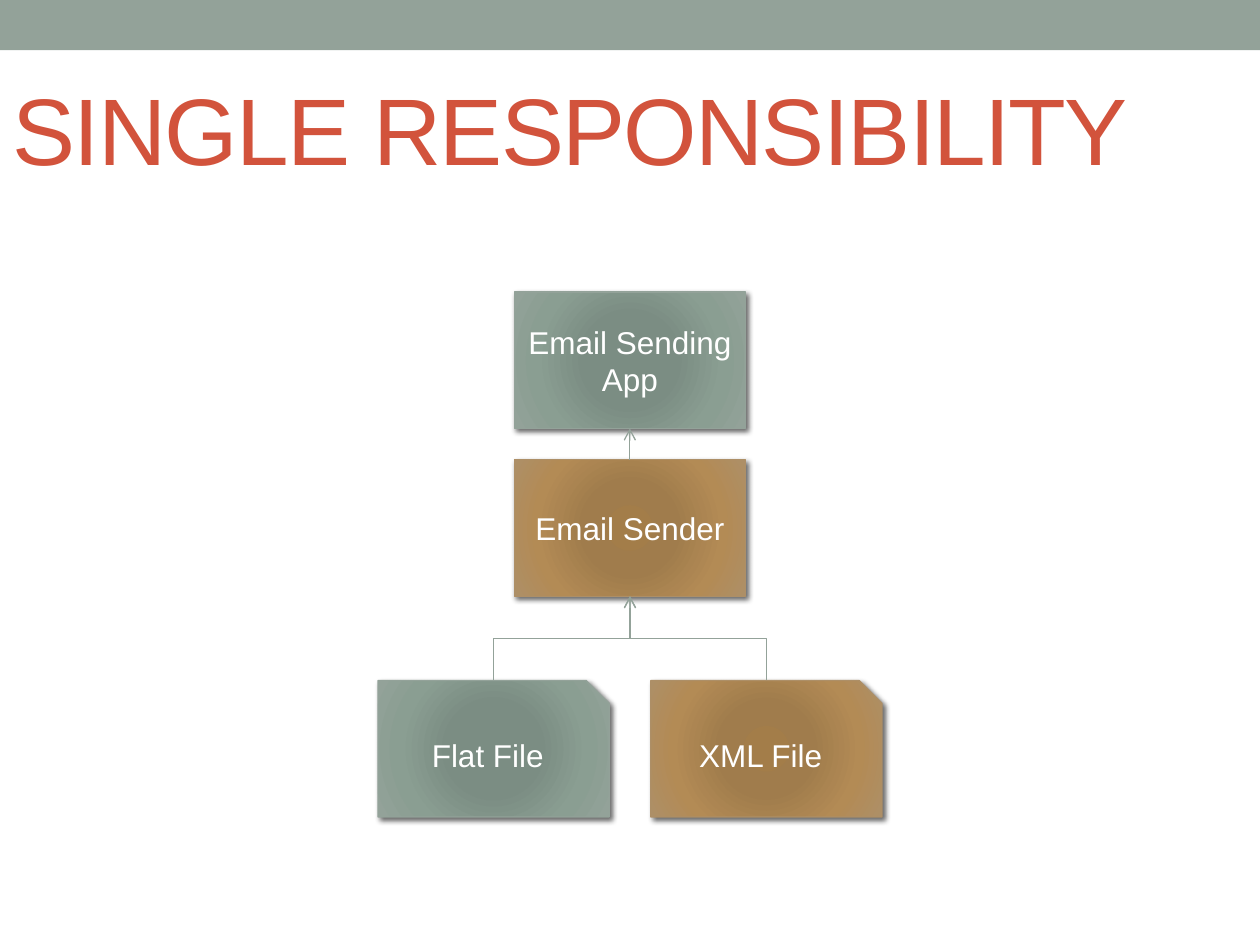
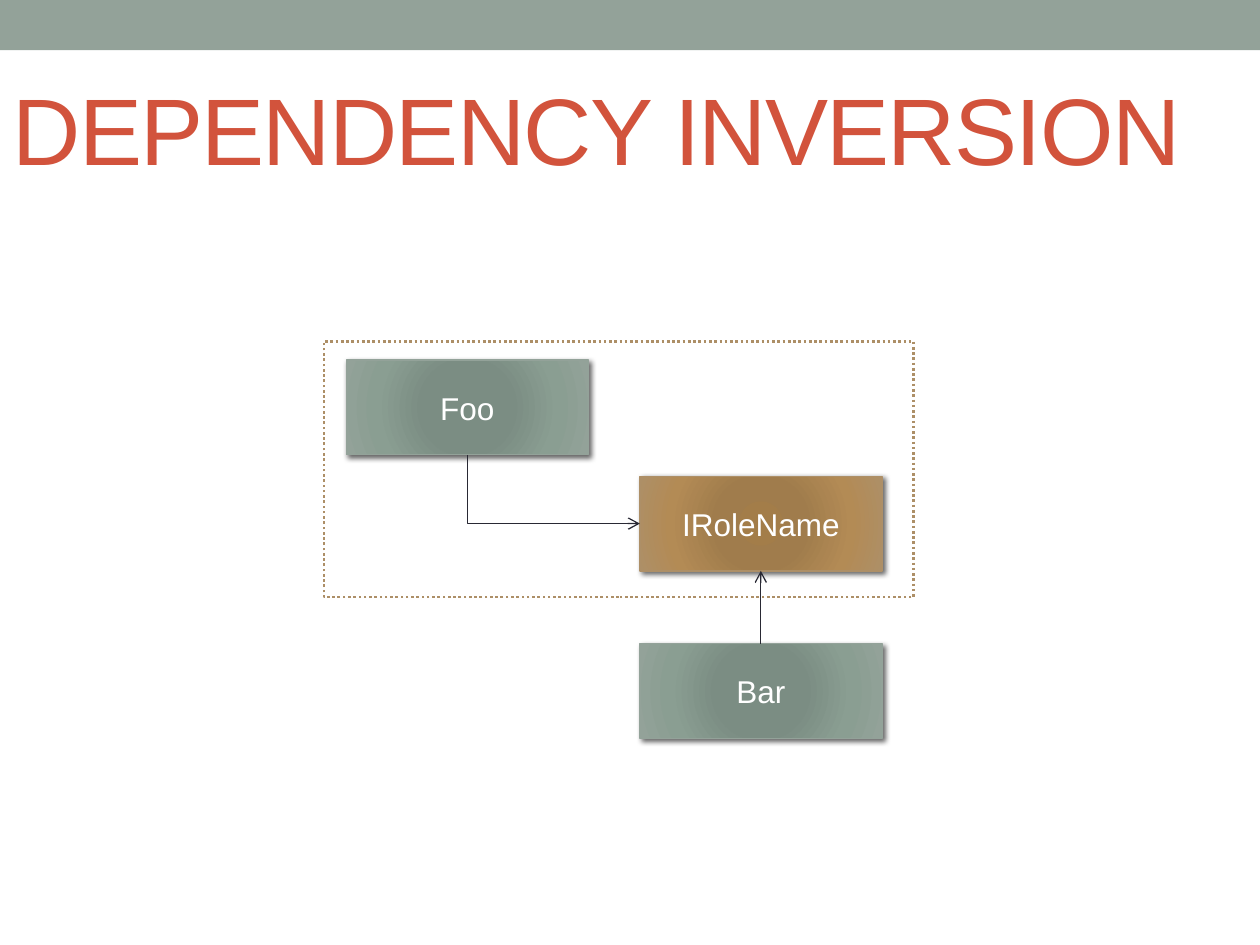
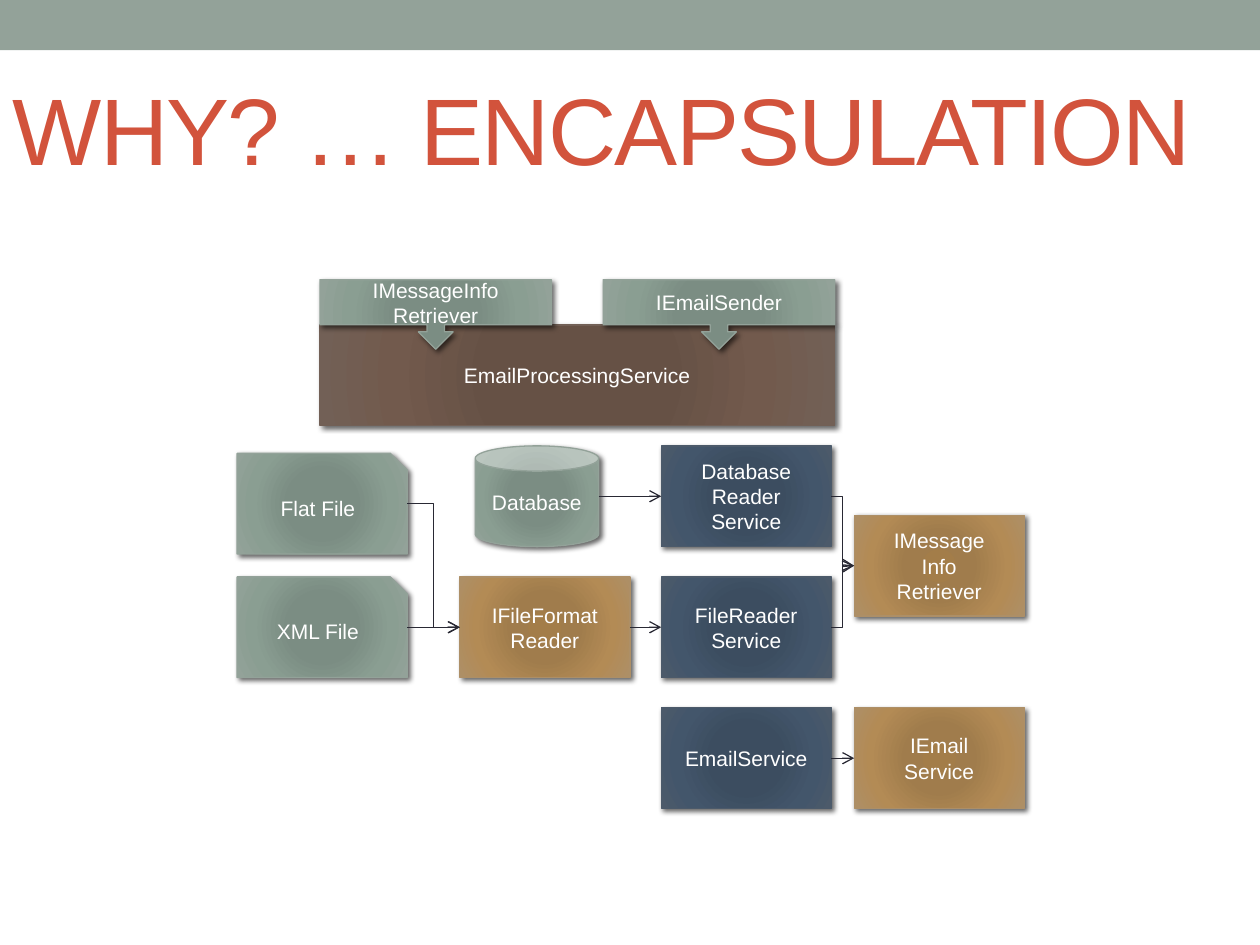
from dataclasses import dataclass

from lxml import etree
from pptx import Presentation
from pptx.dml.color import RGBColor
from pptx.enum.dml import MSO_LINE
from pptx.enum.shapes import MSO_CONNECTOR, MSO_SHAPE
from pptx.enum.text import MSO_ANCHOR, MSO_AUTO_SIZE, PP_ALIGN
from pptx.oxml import parse_xml
from pptx.oxml.ns import nsdecls, qn
from pptx.util import Cm, Pt

RECT = MSO_SHAPE.RECTANGLE
FILE = MSO_SHAPE.SNIP_1_RECTANGLE
CAN = MSO_SHAPE.CAN
CALLOUT = MSO_SHAPE.DOWN_ARROW_CALLOUT
ELBOW = MSO_CONNECTOR.ELBOW
DOTTED = MSO_LINE.ROUND_DOT
LEFT, CENTER = PP_ALIGN.LEFT, PP_ALIGN.CENTER
TOP, MIDDLE = MSO_ANCHOR.TOP, MSO_ANCHOR.MIDDLE
NO_AUTOFIT = MSO_AUTO_SIZE.NONE
TITLE_ONLY = 5


@dataclass(frozen=True)
class Theme:
    font: str = "Arial"
    title: str = "D2533C"
    white: str = "FFFFFF"
    ink: str = "292934"
    # Gradient colours from centre to edge; the edge also colours the outline.
    sage: tuple = ("7B8E82", "7B8D83", "8A9E92", "93A299")
    tan: tuple = ("A37D49", "A07C4C", "B38B55", "AD8F67")
    brown: tuple = ("685044", "665145", "725A4D", "726056")
    navy: tuple = ("3B4D61", "3C4D60", "43566B", "4C5A6A")
    stops: tuple = (0, 34, 70, 100)
    title_size: int = 54
    label_size: int = 18
    small_size: int = 12
    line_width: float = 0.75


THEME = Theme()


def rgb(value):
    return RGBColor.from_string(value)


def write_text(frame, text, *, size, color, align=LEFT, anchor=MIDDLE, tracking=0):
    """Fill a text frame; each line of text becomes a paragraph."""
    frame.text = text
    frame.word_wrap = True
    frame.vertical_anchor = anchor
    for paragraph in frame.paragraphs:
        paragraph.alignment = align
        for run in paragraph.runs:
            run.font.name = THEME.font
            run.font.size = Pt(size)
            run.font.color.rgb = rgb(color)
            if tracking:
                run._r.get_or_add_rPr().set("spc", str(tracking * 100))


def add_plain(slide, place, fill, line=None, width=THEME.line_width):
    """Add a flat rectangle at place (left, top, width, height in cm)."""
    shape = slide.shapes.add_shape(RECT, *map(Cm, place))
    shape.shadow.inherit = False
    shape.fill.solid()
    shape.fill.fore_color.rgb = rgb(fill)
    if line:
        shape.line.color.rgb = rgb(line)
        shape.line.width = Pt(width)
    else:
        shape.line.fill.background()
    return shape


def apply_radial_fill(shape, colors):
    stops = "".join(
        f'<a:gs pos="{position * 1000}"><a:srgbClr val="{color}"/></a:gs>'
        for position, color in zip(THEME.stops, colors))
    gradient = parse_xml(
        f'<a:gradFill {nsdecls("a")} rotWithShape="1"><a:gsLst>{stops}</a:gsLst>'
        '<a:path path="circle"><a:fillToRect l="100000" t="100000" r="100000" '
        'b="100000"/></a:path></a:gradFill>')
    shape.fill.background()
    properties = shape._element.spPr
    properties.replace(properties.find(qn("a:noFill")), gradient)


def apply_shadow(shape):
    shape.shadow.inherit = False
    shape._element.spPr.find(qn("a:effectLst")).append(parse_xml(
        f'<a:outerShdw {nsdecls("a")} blurRad="{Pt(3)}" dist="{Pt(2)}" '
        'dir="2700000" algn="tl" rotWithShape="0"><a:srgbClr val="000000">'
        '<a:alpha val="60000"/></a:srgbClr></a:outerShdw>'))


def add_node(slide, text, place, colors, kind=RECT, size=THEME.label_size):
    """Add a labelled, shaded diagram node at place (in cm)."""
    node = slide.shapes.add_shape(kind, *map(Cm, place))
    apply_radial_fill(node, colors)
    node.line.color.rgb = rgb(colors[-1])
    node.line.width = Pt(THEME.line_width)
    apply_shadow(node)
    write_text(node.text_frame, text, size=size, color=THEME.white, align=CENTER)
    return node


def edge_point(node, side):
    x = {"left": 0, "right": node.width}.get(side, node.width // 2)
    y = {"top": 0, "bottom": node.height}.get(side, node.height // 2)
    return node.left + x, node.top + y


def stand_upright(arrow, start, end):
    """Turn an elbow so that it leaves its start vertically."""
    (x1, y1), (x2, y2) = start, end
    rising, rightward = y2 < y1, x2 >= x1
    quarter = rising and rightward
    length, spread = abs(y2 - y1), abs(x2 - x1)
    arrow.left = (x1 + x2 - length) // 2
    arrow.top = (y1 + y2 - spread) // 2
    arrow.width, arrow.height = length, spread
    frame = arrow._element.spPr.find(qn("a:xfrm"))
    frame.set("rot", str((90 if quarter else 270) * 60000))
    frame.set("flipH", str(int(rising == quarter)))
    frame.set("flipV", str(int(rightward == quarter)))


def connect(slide, source, source_side, target, target_side, color=THEME.ink):
    """Draw an elbow arrow between the middles of two node sides."""
    start, end = edge_point(source, source_side), edge_point(target, target_side)
    arrow = slide.shapes.add_connector(ELBOW, *start, *end)
    properties = arrow._element.spPr
    vertical = ("top", "bottom")
    if source_side in vertical:
        stand_upright(arrow, start, end)
        if target_side not in vertical:
            properties.find(qn("a:prstGeom")).set("prst", "bentConnector2")
    arrow.line.color.rgb = rgb(color)
    arrow.line.width = Pt(THEME.line_width)
    etree.SubElement(properties.find(qn("a:ln")), qn("a:tailEnd"), type="arrow")
    etree.SubElement(properties, qn("a:effectLst"))


def add_titled_slide(prs, title):
    slide = prs.slides.add_slide(prs.slide_layouts[TITLE_ONLY])
    write_text(slide.shapes.title.text_frame, title, size=THEME.title_size,
               color=THEME.title, anchor=TOP, tracking=-1)
    return slide


def place_layout_title(layout):
    title = layout.placeholders[0]
    title.left, title.top, title.width, title.height = map(Cm, (0, 1.14, 25.4, 3.18))
    title.text_frame.margin_top = Cm(0.3)
    title.text_frame.auto_size = NO_AUTOFIT


def add_layout_band(layout, slide):
    """Build the top band on a slide, then move it behind all else on the layout."""
    band = add_plain(slide, (0, 0, 25.4, 1.01), THEME.sage[-1])
    band._element.nvSpPr.cNvPr.set("id", "20")
    layout.shapes._spTree.insert(2, band._element)


def build_responsibility(prs):
    slide = add_titled_slide(prs, "SINGLE RESPONSIBILITY")
    width, height = 4.66, 2.75
    middle = 12.7 - width / 2
    offset = 2.75
    sender_top, file_top = 9.27, 13.72

    sender = add_node(slide, "Email Sender", (middle, sender_top, width, height), THEME.tan)
    flat_file = add_node(slide, "Flat File", (middle - offset, file_top, width, height),
                         THEME.sage, FILE)
    xml_file = add_node(slide, "XML File", (middle + offset, file_top, width, height),
                        THEME.tan, FILE)
    app = add_node(slide, "Email Sending App", (middle, 5.89, width, height), THEME.sage)
    for source, target in ((flat_file, sender), (xml_file, sender), (sender, app)):
        connect(slide, source, "top", target, "bottom", THEME.sage[-1])
    return slide


def build_inversion(prs):
    slide = add_titled_slide(prs, "DEPENDENCY INVERSION")
    size = (4.88, 1.91)
    boundary = add_plain(slide, (6.53, 6.88, 11.89, 5.16), THEME.white, THEME.tan[-1], 1.5)
    boundary.line.dash_style = DOTTED

    role = add_node(slide, "IRoleName", (12.9, 9.6, *size), THEME.tan)
    foo = add_node(slide, "Foo", (6.98, 7.26, *size), THEME.sage)
    bar = add_node(slide, "Bar", (12.9, 12.98, *size), THEME.sage)
    connect(slide, foo, "bottom", role, "left")
    connect(slide, bar, "top", role, "bottom")


def build_encapsulation(prs):
    slide = add_titled_slide(prs, "WHY? … ENCAPSULATION")
    width, height = 3.43, 2.03
    files, formats, services, interfaces = 4.78, 9.27, 13.33, 17.22
    database_row, file_row, email_row = (8.99 + 2.64 * row for row in range(3))

    def node(text, left, top, colors, kind=RECT, size=(width, height)):
        return add_node(slide, text, (left, top, *size), colors, kind, THEME.small_size)

    node("EmailProcessingService", 6.45, 6.55, THEME.brown, size=(10.37, height))
    for text, left in (("IMessageInfo\nRetriever", 6.45), ("IEmailSender", 12.16)):
        node(text, left, 5.64, THEME.sage, CALLOUT, (4.67, 1.4))

    retriever = node("IMessage\nInfo\nRetriever", interfaces, 10.39, THEME.tan)
    flat_file = node("Flat File", files, 9.14, THEME.sage, FILE)
    xml_file = node("XML File", files, file_row, THEME.sage, FILE)
    file_format = node("IFileFormat Reader", formats, file_row, THEME.tan)
    file_reader = node("FileReader\nService", services, file_row, THEME.navy)
    database = node("Database", 9.58, database_row, THEME.sage, CAN, (2.49, height))
    database_reader = node("Database\nReader\nService", services, database_row, THEME.navy)
    email_interface = node("IEmail\nService", interfaces, email_row, THEME.tan)
    email_service = node("EmailService", services, email_row, THEME.navy)

    for source, target in (
        (flat_file, file_format),
        (xml_file, file_format),
        (file_format, file_reader),
        (file_reader, retriever),
        (database, database_reader),
        (database_reader, retriever),
        (email_service, email_interface),
    ):
        connect(slide, source, "right", target, "left")


def main():
    prs = Presentation()
    prs.slide_width, prs.slide_height = Cm(25.4), Cm(19.05)
    layout = prs.slide_layouts[TITLE_ONLY]
    place_layout_title(layout)
    first_slide = build_responsibility(prs)
    add_layout_band(layout, first_slide)
    build_inversion(prs)
    build_encapsulation(prs)
    prs.save("out.pptx")


if __name__ == "__main__":
    main()
